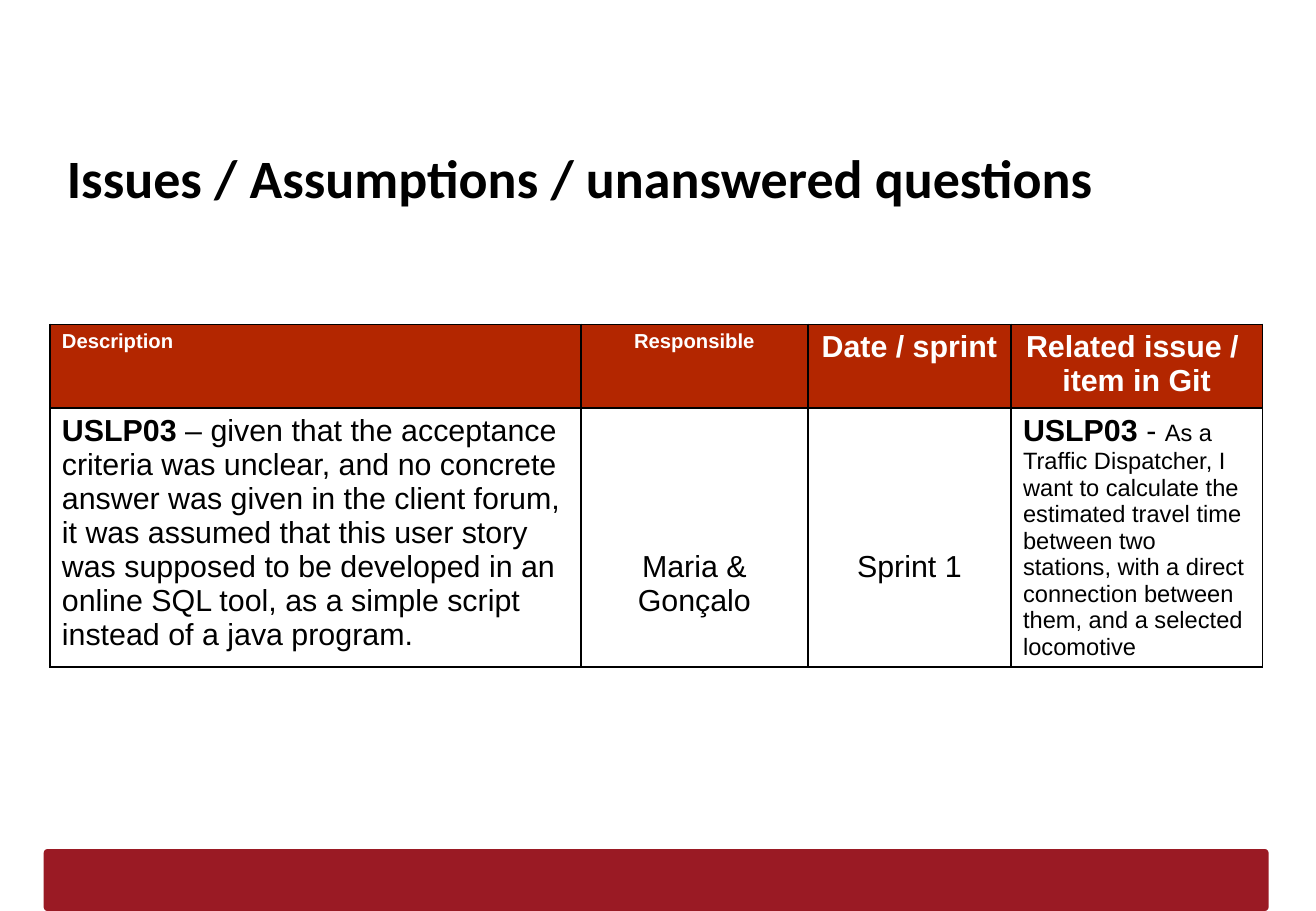
from lxml import etree
from pptx import Presentation
from pptx.dml.color import RGBColor
from pptx.enum.shapes import MSO_SHAPE
from pptx.enum.text import MSO_ANCHOR, PP_ALIGN
from pptx.oxml.ns import qn
from pptx.util import Inches, Pt

ROUNDED = MSO_SHAPE.ROUNDED_RECTANGLE
TOP = MSO_ANCHOR.TOP
LEFT, CENTER = PP_ALIGN.LEFT, PP_ALIGN.CENTER

BLACK = RGBColor(0x00, 0x00, 0x00)
WHITE = RGBColor(0xFF, 0xFF, 0xFF)
HEADER_RED = RGBColor(0xB3, 0x26, 0x00)
FOOTER_RED = RGBColor(0x9A, 0x1A, 0x24)

COLUMN_WIDTHS = (4.37, 1.87, 1.67, 2.07)
ROW_HEIGHTS = (0.69, 2.13)
LOWERED_MARGIN = 1.17

# Each header: text, size
HEADERS = (
    ("Description", 12),
    ("Responsible", 12),
    ("Date / sprint", 18),
    ("Related issue / \nitem in Git", 18),
)
# Each issue cell is a list of spans: text, size, bold
ISSUE = (
    [
        ("USLP03", 18, True),
        (" – given that the acceptance criteria was unclear, and no concrete "
         "answer was given in the client forum, it was assumed that this user "
         "story was supposed to be developed in an online SQL tool, as a simple "
         "script instead of a java program.", 18, False),
    ],
    [("Maria & Gonçalo", 18, False)],
    [("Sprint 1", 18, False)],
    [
        ("USLP03", 18, True),
        (" - ", 18, False),
        ("As a Traffic Dispatcher, I want to calculate the estimated travel "
         "time between two stations, with a direct connection between them, "
         "and a selected locomotive", 14, False),
    ],
)


def format_font(font, name, size, bold, color):
    font.name = name
    font.size = Pt(size)
    font.bold = bold
    font.color.rgb = color


def add_footer_bar(page, left, top, width, height):
    bar = page.shapes.add_shape(
        ROUNDED, Inches(left), Inches(top), Inches(width), Inches(height))
    bar.adjustments[0] = 0.06
    bar.shadow.inherit = False
    bar.fill.solid()
    bar.fill.fore_color.rgb = FOOTER_RED
    bar.line.fill.background()


def fill_title(page, left, top, width, height):
    title = page.shapes.title
    title.left, title.top = Inches(left), Inches(top)
    title.width, title.height = Inches(width), Inches(height)
    frame = title.text_frame
    frame.text = "Issues / Assumptions / unanswered questions"
    frame.word_wrap = True
    frame.vertical_anchor = TOP
    frame.margin_left = frame.margin_right = Inches(0.1)
    frame.margin_top = frame.margin_bottom = Inches(0.1)
    para = frame.paragraphs[0]
    para.alignment = LEFT
    format_font(para.runs[0].font, "Calibri", 32, True, BLACK)


def add_borders(cell):
    properties = cell._tc.get_or_add_tcPr()
    for side in ("a:lnL", "a:lnR", "a:lnT", "a:lnB"):
        line = etree.SubElement(properties, qn(side), w=str(Pt(1)))
        fill = etree.SubElement(line, qn("a:solidFill"))
        etree.SubElement(fill, qn("a:srgbClr"), val=str(BLACK))


def fill_header(cell, text, size, alignment):
    cell.fill.solid()
    cell.fill.fore_color.rgb = HEADER_RED
    cell.text_frame.text = text
    for para in cell.text_frame.paragraphs:
        para.alignment = alignment
        for span in para.runs:
            format_font(span.font, "Arial", size, True, WHITE)


def fill_issue(cell, spans, alignment):
    cell.fill.background()
    para = cell.text_frame.paragraphs[0]
    para.alignment = alignment
    for text, size, bold in spans:
        span = para.add_run()
        span.text = text
        format_font(span.font, "Arial", size, bold, BLACK)


def add_issue_table(page, left, top):
    table = page.shapes.add_table(
        len(ROW_HEIGHTS), len(COLUMN_WIDTHS), Inches(left), Inches(top),
        Inches(sum(COLUMN_WIDTHS)), Inches(sum(ROW_HEIGHTS))).table
    table.horz_banding = False
    for column, width in zip(table.columns, COLUMN_WIDTHS):
        column.width = Inches(width)
    for row, height in zip(table.rows, ROW_HEIGHTS):
        row.height = Inches(height)
    for cell in table.iter_cells():
        add_borders(cell)
    for index, ((text, size), spans) in enumerate(zip(HEADERS, ISSUE)):
        fill_header(table.cell(0, index), text, size, CENTER if index else LEFT)
        lowered = index in (1, 2)
        issue_cell = table.cell(1, index)
        fill_issue(issue_cell, spans, CENTER if lowered else LEFT)
        if lowered:
            issue_cell.margin_top = Inches(LOWERED_MARGIN)


def main():
    deck = Presentation()
    deck.slide_width, deck.slide_height = Inches(10.83), Inches(7.5)
    page = deck.slides.add_slide(deck.slide_layouts[5])
    add_footer_bar(page, 0.36, 6.99, 10.08, 0.51)
    fill_title(page, 0.45, 1.09, 9.89, 0.63)
    add_issue_table(page, 0.41, 2.67)
    deck.save("out.pptx")


if __name__ == "__main__":
    main()
